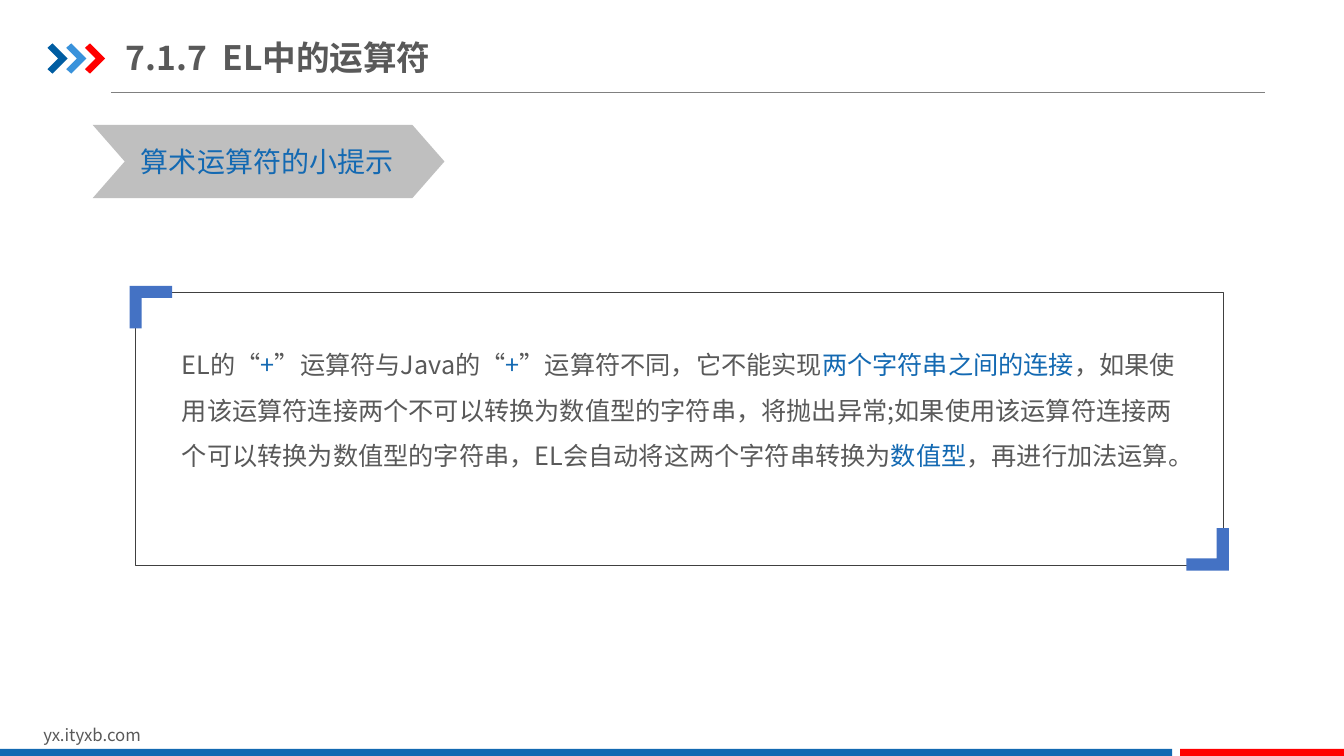
import pptx
import pptx.util
import pptx.dml.color
import pptx.enum.shapes
import pptx.enum.text
import pptx.oxml.ns
import lxml.etree

Pt = pptx.util.Pt
RGBColor = pptx.dml.color.RGBColor
MSO_SHAPE = pptx.enum.shapes.MSO_SHAPE
MSO_ANCHOR = pptx.enum.text.MSO_ANCHOR
qn = pptx.oxml.ns.qn

FONT = "Noto Sans CJK SC"
GREY = RGBColor(0x59, 0x59, 0x59)
BLUE = RGBColor(0x13, 0x69, 0xB2)
RED = RGBColor(0xFF, 0x00, 0x00)
NAVY = RGBColor(0x00, 0x5D, 0xA2)
SKY = RGBColor(0x39, 0x92, 0xDB)
SILVER = RGBColor(0xBF, 0xBF, 0xBF)
CORNER = RGBColor(0x44, 0x72, 0xC4)
RULE = RGBColor(0x80, 0x80, 0x80)
FRAME = RGBColor(0x40, 0x40, 0x40)

TITLE = [("7.1.7  EL中的运算符", GREY)]
SUBTITLE = [("算术运算符的小提示", BLUE)]
SITE = [("yx.ityxb.com", GREY)]
BODY = [
    ("EL的“", GREY),
    ("+", BLUE),
    ("”运算符与Java的“", GREY),
    ("+", BLUE),
    ("”运算符不同，它不能实现", GREY),
    ("两个字符串之间的连接", BLUE),
    ("，如果使用该运算符连接两个不可以转换为数值型的字符串，将抛出异常;"
     "如果使用该运算符连接两个可以转换为数值型的字符串，EL会自动将这两个字符串转换为", GREY),
    ("数值型", BLUE),
    ("，再进行加法运算。", GREY),
]

ARROW = [(0, 3.2), (3.6, 0), (14.4, 10.8), (3.6, 21.6), (0, 18.4), (7.6, 10.8)]
ARROW_COLORS = [NAVY, SKY, RED]
ARROW_LEFT, ARROW_TOP, ARROW_STEP = 33.9, 31, 13.4
BRACKET = [(0, 0), (30.3, 0), (30.3, 8.6), (8.6, 8.6), (8.6, 30.3), (0, 30.3)]
BRACKETS = [(92.6, 204.2, 1), (877.7, 407.5, -1)]


def add_box(kind, left, top, width, height, fill=None):
    sp = slide.shapes.add_shape(kind, Pt(left), Pt(top), Pt(width), Pt(height))
    paint(sp, fill)
    return sp


def paint(sp, fill):
    sp.shadow.inherit = False
    sp.line.fill.background()
    if fill is None:
        sp.fill.background()
    else:
        sp.fill.solid()
        sp.fill.fore_color.rgb = fill


def add_outline(points, left, top, fill, sign=1):
    pts = [(Pt(left + sign * x), Pt(top + sign * y)) for x, y in points]
    builder = slide.shapes.build_freeform(*pts[0])
    builder.add_line_segments(pts[1:], close=True)
    paint(builder.convert_to_shape(), fill)


def add_text(runs, left, top, width, height, size, bold=False, spacing=None,
             margins=(7.2, 3.6), anchor=MSO_ANCHOR.TOP):
    sp = slide.shapes.add_textbox(Pt(left), Pt(top), Pt(width), Pt(height))
    tf = sp.text_frame
    tf.word_wrap = True
    tf.vertical_anchor = anchor
    tf.margin_left = tf.margin_right = Pt(margins[0])
    tf.margin_top = tf.margin_bottom = Pt(margins[1])
    p = tf.paragraphs[0]
    if spacing:
        p.line_spacing = spacing
    for text, color in runs:
        r = p.add_run()
        r.text = text
        r.font.size = Pt(size)
        r.font.bold = bold
        r.font.color.rgb = color
        r.font.name = FONT
        ea = lxml.etree.SubElement(r.font._element, qn("a:ea"))
        ea.set("typeface", FONT)


prs = pptx.Presentation()
prs.slide_width, prs.slide_height = Pt(960), Pt(540)
slide = prs.slides.add_slide(prs.slide_layouts[6])

rule = slide.shapes.add_connector(
    pptx.enum.shapes.MSO_CONNECTOR.STRAIGHT, Pt(79.2), Pt(65.8), Pt(903.6), Pt(65.8))
rule.line.color.rgb = RULE
rule.line.width = Pt(0.5)
lxml.etree.SubElement(rule._element.spPr, qn("a:effectLst"))

for i, color in enumerate(ARROW_COLORS):
    add_outline(ARROW, ARROW_LEFT + i * ARROW_STEP, ARROW_TOP, color)

add_text(SITE, 23.8, 514, 229, 21.8, 12)
add_box(MSO_SHAPE.RECTANGLE, 0, 535, 837.3, 5, BLUE)
add_box(MSO_SHAPE.RECTANGLE, 843, 535, 117, 5, RED)

banner = add_box(MSO_SHAPE.CHEVRON, 66.2, 89.2, 251.3, 52.3, SILVER)
banner.adjustments[0] = 0.438
add_text(BODY, 122.9, 235.4, 725.8, 133.9, 18, spacing=1.5)
add_text(SUBTITLE, 93.6, 100, 203, 31.5, 20)

frame = add_box(MSO_SHAPE.RECTANGLE, 96.7, 208.8, 777, 195.1)
frame.line.color.rgb = FRAME
frame.line.width = Pt(0.25)
for left, top, sign in BRACKETS:
    add_outline(BRACKET, left, top, CORNER, sign)

add_text(TITLE, 90, 20.9, 247.7, 39.6, 24, bold=True, margins=(0, 5),
         anchor=MSO_ANCHOR.MIDDLE)

prs.save("out.pptx")
